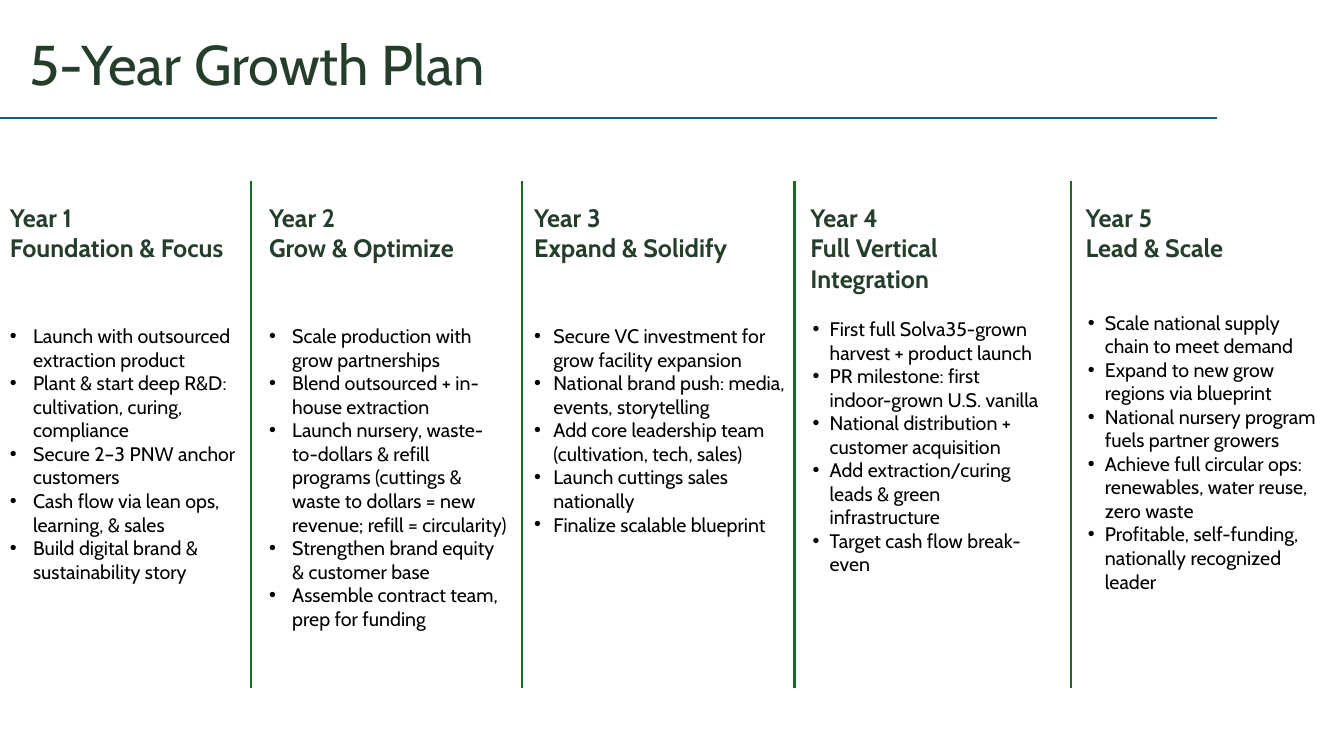
import dataclasses

import pptx
import pptx.dml.color
import pptx.enum.shapes
import pptx.enum.text
import pptx.oxml.ns
import pptx.util
from lxml import etree

Inches = pptx.util.Inches
Pt = pptx.util.Pt

TITLE = "5-Year Growth Plan"


@dataclasses.dataclass
class Year:
    heading: tuple
    left: float
    width: float
    indent: float
    hanging: float
    gap: float  # points between the heading and the list
    goals: list


YEARS = [
    Year(("Year 1", "Foundation & Focus"), 0, 2.71, 0.23, 0.23, 43.7, [
        "Launch with outsourced extraction product",
        "Plant & start deep R&D: cultivation, curing, compliance",
        "Secure 2–3 PNW anchor customers",
        "Cash flow via lean ops, learning, & sales",
        "Build digital brand & sustainability story",
    ]),
    Year(("Year 2", "Grow & Optimize"), 2.57, 2.57, 0.23, 0.23, 43.7, [
        "Scale production with grow partnerships",
        "Blend outsourced + in-house extraction",
        "Launch nursery, waste-to-dollars & refill programs (cuttings & "
        "waste to dollars = new revenue; refill = circularity)",
        "Strengthen brand equity & customer base",
        "Assemble contract team, prep for funding",
    ]),
    Year(("Year 3", "Expand & Solidify"), 5.2, 2.71, 0.19, 0.19, 43.7, [
        "Secure VC investment for grow facility expansion",
        "National brand push: media, events, storytelling",
        "Add core leadership team (cultivation, tech, sales)",
        "Launch cuttings sales nationally",
        "Finalize scalable blueprint",
    ]),
    Year(("Year 4", "Full Vertical Integration"), 7.94, 2.51, 0.19, 0.17, 17, [
        "First full Solva35-grown harvest + product launch",
        "PR milestone: first indoor-grown U.S. vanilla",
        "National distribution + customer acquisition",
        "Add extraction/curing leads & green infrastructure",
        "Target cash flow break-even",
    ]),
    Year(("Year 5", "Lead & Scale"), 10.67, 2.55, 0.19, 0.17, 34, [
        "Scale national supply chain to meet demand",
        "Expand to new grow regions via blueprint",
        "National nursery program fuels partner growers",
        "Achieve full circular ops: renewables, water reuse, zero waste",
        "Profitable, self-funding, nationally recognized leader",
    ]),
]

COLUMN_TOP, COLUMN_HEIGHT = 1.96, 4.73
DIVIDERS = [2.49, 5.18, 7.88, 10.62]
DIVIDER_TOP, DIVIDER_BOTTOM = 1.8, 6.83


def color(value):
    return pptx.dml.color.RGBColor.from_string(value)


@dataclasses.dataclass
class Theme:
    font: str = "Cabin"
    heading: str = "253E2C"
    body: str = "000000"
    rule: str = "156082"
    divider: str = "196B24"
    title_size: int = 40
    heading_size: int = 18
    body_size: int = 14
    line_width: float = 1.5


THEME = Theme()


def add_run(para, text, size, tint, bold=False):
    span = para.add_run()
    span.text = text
    span.font.name = THEME.font
    span.font.size = Pt(size)
    span.font.bold = bold
    span.font.color.rgb = color(tint)


def add_line(page, start, end, tint):
    line = page.shapes.add_connector(
        pptx.enum.shapes.MSO_CONNECTOR.STRAIGHT,
        *(Inches(value) for value in start + end))
    line.line.color.rgb = color(tint)
    line.line.width = Pt(THEME.line_width)
    etree.SubElement(line._element.spPr, pptx.oxml.ns.qn("a:effectLst"))


def set_bullet(para, indent, hanging):
    properties = para._p.get_or_add_pPr()
    properties.set("marL", str(Inches(indent)))
    properties.set("indent", str(-Inches(hanging)))
    font = etree.SubElement(properties, pptx.oxml.ns.qn("a:buFont"))
    font.set("typeface", "Arial")
    mark = etree.SubElement(properties, pptx.oxml.ns.qn("a:buChar"))
    mark.set("char", "•")


def add_title(page):
    title = page.shapes.title
    title.left, title.top = Inches(0.19), Inches(-0.06)
    title.width, title.height = Inches(11.5), Inches(1.45)
    frame = title.text_frame
    frame.auto_size = pptx.enum.text.MSO_AUTO_SIZE.NONE
    frame.vertical_anchor = pptx.enum.text.MSO_ANCHOR.MIDDLE
    para = frame.paragraphs[0]
    para.alignment = pptx.enum.text.PP_ALIGN.LEFT
    para.line_spacing = 0.9
    add_run(para, TITLE, THEME.title_size, THEME.heading)


def add_year(page, year):
    box = page.shapes.add_textbox(Inches(year.left), Inches(COLUMN_TOP),
                                  Inches(year.width), Inches(COLUMN_HEIGHT))
    frame = box.text_frame
    frame.word_wrap = True
    for index, text in enumerate(year.heading):
        para = frame.add_paragraph() if index else frame.paragraphs[0]
        add_run(para, text, THEME.heading_size, THEME.heading, bold=True)
    for index, goal in enumerate(year.goals):
        para = frame.add_paragraph()
        if index == 0:
            para.space_before = Pt(year.gap)
        set_bullet(para, year.indent, year.hanging)
        add_run(para, goal, THEME.body_size, THEME.body)


def main():
    deck = pptx.Presentation()
    deck.slide_width, deck.slide_height = Inches(13.33), Inches(7.5)
    page = deck.slides.add_slide(deck.slide_layouts.get_by_name("Title Only"))
    add_line(page, (0, 1.17), (12.07, 1.17), THEME.rule)
    add_title(page)
    for year in YEARS:
        add_year(page, year)
    for left in DIVIDERS:
        add_line(page, (left, DIVIDER_TOP), (left, DIVIDER_BOTTOM), THEME.divider)
    deck.save("out.pptx")


if __name__ == "__main__":
    main()
